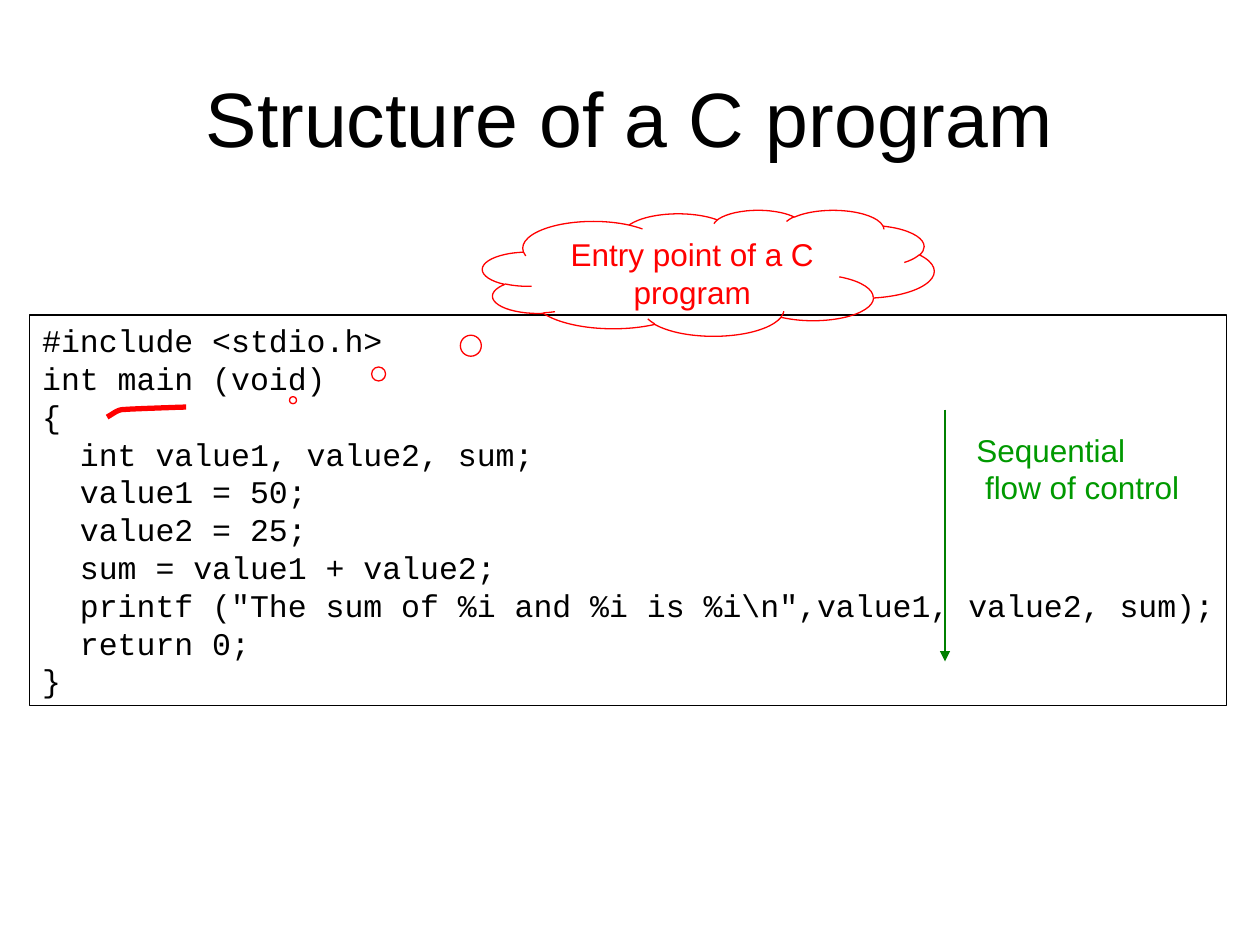
from dataclasses import dataclass

from lxml import etree
from pptx import Presentation
from pptx.dml.color import RGBColor
from pptx.enum import shapes, text
from pptx.oxml import ns
from pptx.util import Pt

BLACK = RGBColor(0x00, 0x00, 0x00)
RED = RGBColor(0xFF, 0x00, 0x00)
ARROW_GREEN = RGBColor(0x00, 0x80, 0x00)
LABEL_GREEN = RGBColor(0x00, 0x99, 0x00)

CODE = r"""#include <stdio.h>
int main (void)
{
  int value1, value2, sum;
  value1 = 50;
  value2 = 25;
  sum = value1 + value2;
  printf ("The sum of %i and %i is %i\n",value1, value2, sum);
  return 0;
}"""


@dataclass
class Box:
    left: float
    top: float
    width: float
    height: float

    def lengths(self) -> list:
        return [Pt(v) for v in (self.left, self.top, self.width, self.height)]


@dataclass
class Label:
    words: str
    color: RGBColor
    size: float = 18
    font: str = "Arial"
    align: text.PP_ALIGN = text.PP_ALIGN.LEFT
    anchor: text.MSO_ANCHOR = text.MSO_ANCHOR.TOP
    wrap: bool = True


TITLE = Label("Structure of a C program", BLACK, 44,
              align=text.PP_ALIGN.CENTER, anchor=text.MSO_ANCHOR.MIDDLE)
LISTING = Label(CODE, BLACK, font="Courier New", wrap=False)
ENTRY_POINT = Label("Entry point of a C program", RED, align=text.PP_ALIGN.CENTER)
FLOW = Label("Sequential\n flow of control", LABEL_GREEN, wrap=False)


def write(sp, label: Label) -> None:
    tf = sp.text_frame
    tf.word_wrap = label.wrap
    tf.vertical_anchor = label.anchor
    tf.text = label.words
    for p in tf.paragraphs:
        p.alignment = label.align
        p.font.name = label.font
        p.font.size = Pt(label.size)
        p.font.color.rgb = label.color


def add_text(s, box: Box, label: Label) -> None:
    write(s.shapes.add_textbox(*box.lengths()), label)


def outline(sp, color: RGBColor, width: float) -> None:
    sp.shadow.inherit = False
    sp.fill.background()
    sp.line.color.rgb = color
    sp.line.width = Pt(width)


def add_outlined(s, kind: shapes.MSO_SHAPE, box: Box, color: RGBColor, label: Label):
    sp = s.shapes.add_shape(kind, *box.lengths())
    outline(sp, color, 0.75)
    write(sp, label)
    return sp


def bezier(points: list, steps: int = 10) -> list:
    """Points along a cubic curve, without its start."""
    curve = []
    for i in range(1, steps + 1):
        t = i / steps
        weights = ((1 - t) ** 3, 3 * t * (1 - t) ** 2, 3 * t * t * (1 - t), t ** 3)
        curve.append(tuple(Pt(sum(w * pt[axis] for w, pt in zip(weights, points)))
                           for axis in (0, 1)))
    return curve


def add_underline(s) -> None:
    start, bend, end = (61.2, 238.3), (70.6, 234), (106.4, 232.6)
    builder = s.shapes.build_freeform(Pt(start[0]), Pt(start[1]))
    builder.add_line_segments(
        bezier([start, (64.1, 236.9), (67, 234), bend])
        + bezier([bend, (82.8, 233.3), end, end]), close=False)
    outline(builder.convert_to_shape(), RED, 3)


def add_arrow(s, x: float, top: float, bottom: float) -> None:
    line = s.shapes.add_connector(shapes.MSO_CONNECTOR.STRAIGHT,
                                  Pt(x), Pt(top), Pt(x), Pt(bottom))
    line.line.color.rgb = ARROW_GREEN
    line.line.width = Pt(1.25)
    etree.SubElement(line.line._get_or_add_ln(), ns.qn("a:tailEnd"), type="triangle")
    etree.SubElement(line._element.spPr, ns.qn("a:effectLst"))


def main() -> None:
    prs = Presentation()
    prs.slide_width, prs.slide_height = Pt(720), Pt(540)
    s = prs.slides.add_slide(prs.slide_layouts[6])

    add_text(s, Box(36, 21.6, 648, 90), TITLE)
    add_outlined(s, shapes.MSO_SHAPE.RECTANGLE, Box(17, 180, 684, 223.2), BLACK, LISTING)
    add_underline(s)
    cloud = add_outlined(s, shapes.MSO_SHAPE.CLOUD_CALLOUT,
                         Box(275.8, 120, 258, 72), RED, ENTRY_POINT)
    cloud.adjustments[0], cloud.adjustments[1] = -0.92, 1.01
    add_arrow(s, 540, 234, 378)
    add_text(s, Box(550.8, 242.6, 130.3, 50.4), FLOW)
    prs.save("out.pptx")


if __name__ == "__main__":
    main()
